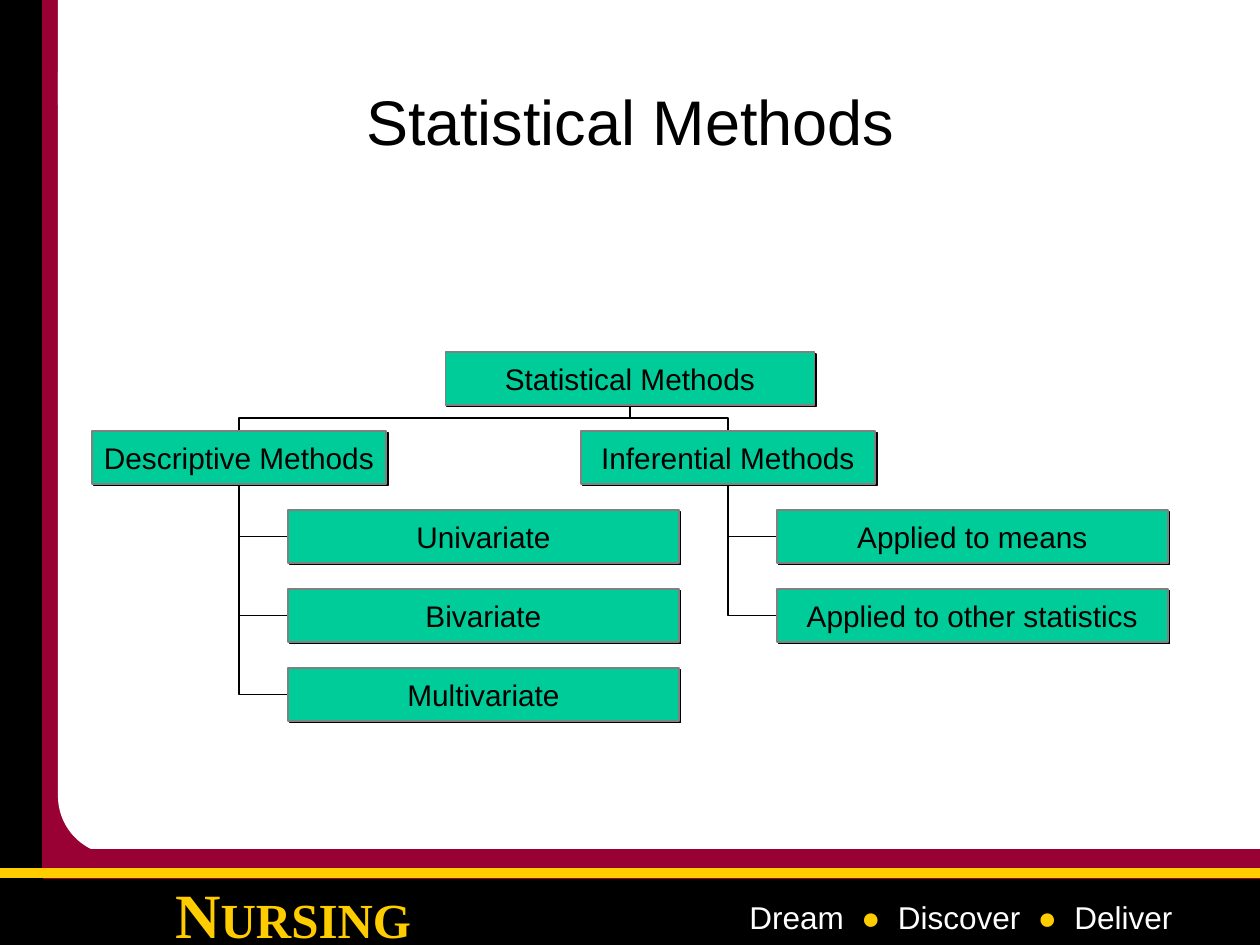
"""Builds the slide with the tree of statistical methods."""
from lxml.etree import SubElement
from pptx import Presentation
from pptx.dml.color import RGBColor
from pptx.enum.shapes import MSO_CONNECTOR, MSO_SHAPE
from pptx.enum.text import MSO_ANCHOR, PP_ALIGN
from pptx.oxml.ns import qn
from pptx.util import Pt

INK = {"black": "000000", "white": "FFFFFF", "wine": "990033",
       "gold": "FFCC00", "green": "00CC99", "gray": "808080"}
TITLE = "Statistical Methods"
TREE = [
    ("Descriptive Methods", ["Univariate", "Bivariate", "Multivariate"]),
    ("Inferential Methods", ["Applied to means", "Applied to other statistics"]),
]
RECT, ROUND = MSO_SHAPE.RECTANGLE, MSO_SHAPE.ROUNDED_RECTANGLE
FRAME = [
    (RECT, (40, 0, 54, 945), "wine"),
    (RECT, (131, 95, 1129, 850), "white"),
    (RECT, (0, 0, 42, 945), "black"),
    (RECT, (0, 877, 1260, 68), "black"),
    (ROUND, (58, 15, 354, 840), "white"),
    (RECT, (58, 0, 81, 105), "white"),
    (RECT, (43, 849, 1217, 30), "wine"),
]
UNIT = "Times New Roman"
BRAND = [("N", 36, "gold", UNIT, True), ("URSING", 28, "gold", UNIT, True)]
MOTTO = [("Dream  ", 18, "white"), ("●  ", 18, "gold"), ("Discover  ", 18, "white"),
         ("●", 18, "gold"), ("  Deliver", 18, "white")]
TOP, STEP, HIGH = 352, 79, 53
LEFT, PITCH, INDENT = 92, 489, 49
ROOT, HEAD, LEAF = 369, 294, 391
PX = 914400 / 126


def emu(*nums):
    return [round(n * PX) for n in nums]


def color(name):
    return RGBColor.from_string(INK[name])


def write(frame, runs, align, form):
    for key, val in form.items():
        setattr(frame, key, val)
    para = frame.paragraphs[0]
    para.alignment = align
    for text, size, ink, *rest in runs:
        face, bold = rest or ("Arial", False)
        run = para.add_run()
        run.text = text
        look = {"size": Pt(size), "name": face, "bold": bold}
        for key, val in look.items():
            setattr(run.font, key, val)
        run.font.color.rgb = color(ink)


def block(shapes, kind, spot, ink):
    shape = shapes.add_shape(kind, *emu(*spot))
    shape.shadow.inherit = False
    shape.fill.solid()
    shape.fill.fore_color.rgb = color(ink)
    shape.line.fill.background()
    return shape


def node(shapes, text, spot):
    shape = block(shapes, RECT, spot, "green")
    shape.line.color.rgb = color("gray")
    shape.line.width = Pt(1)
    glow = shape._element.spPr.find(qn("a:effectLst"))
    cast = SubElement(glow, qn("a:outerShdw"), dist=str(Pt(1.4)), dir="2700000",
                      algn="ctr", rotWithShape="0")
    SubElement(cast, qn("a:srgbClr"), val=INK["black"])
    form = {"word_wrap": False, "vertical_anchor": MSO_ANCHOR.MIDDLE}
    write(shape.text_frame, [(text, 17, "black")], PP_ALIGN.CENTER, form)


def link(shapes, kind, ends, ink="black", width=1):
    line = shapes.add_connector(kind, *emu(*ends))
    line.line.color.rgb = color(ink)
    line.line.width = Pt(width)
    SubElement(line._element.spPr, qn("a:effectLst"))
    return line._element.spPr


def hook(shapes, x, y, stem, foot):
    """Runs left from a leaf, then up to its parent."""
    prop = link(shapes, MSO_CONNECTOR.ELBOW, (x, y, stem, foot))
    prop.find(qn("a:prstGeom")).set("prst", "bentConnector2")


def fork(shapes, x, y, end, foot):
    """Runs up, across and up again, as an elbow turned by a quarter."""
    midx, midy = (x + end) / 2, (y + foot) / 2
    dx, dy = x - midx, y - midy
    ends = midx + dy, midy - dx, midx - dy, midy + dx
    prop = link(shapes, MSO_CONNECTOR.ELBOW, ends)
    prop.find(qn("a:xfrm")).set("rot", "5400000")


def label(shapes, spot, runs, align):
    box = shapes.add_textbox(*emu(*spot))
    write(box.text_frame, runs, align, {"word_wrap": True})


def chart(shapes):
    mid = 630
    rows = [TOP + STEP * i for i in range(5)]
    for i, (head, leaves) in enumerate(TREE):
        x = LEFT + PITCH * i
        stem, foot = x + HEAD // 2, rows[1] + HIGH
        fork(shapes, stem, rows[1], mid, TOP + HIGH)
        for text, y in zip(leaves, rows[2:]):
            hook(shapes, stem + INDENT, y + HIGH / 2, stem, foot)
            node(shapes, text, (stem + INDENT, y, LEAF, HIGH))
        node(shapes, head, (x, rows[1], HEAD, HIGH))
    node(shapes, TITLE, (mid - ROOT / 2, TOP, ROOT, HIGH))


def main():
    deck = Presentation()
    deck.slide_width, deck.slide_height = emu(1260, 945)
    shapes = deck.slides.add_slide(deck.slide_layouts[5]).shapes
    for kind, spot, ink in FRAME:
        block(shapes, kind, spot, ink)
    link(shapes, MSO_CONNECTOR.STRAIGHT, (0, 873, 1260, 873), "gold", 6)
    label(shapes, (146, 869, 294, 79), BRAND, PP_ALIGN.CENTER)
    label(shapes, (737, 892, 503, 50), MOTTO, PP_ALIGN.LEFT)

    title = shapes.title
    shapes._spTree.append(title._element)
    sides = ("left", "top", "width", "height")
    for key, val in zip(sides, emu(95, 42, 1071, 157)):
        setattr(title, key, val)
    form = {"word_wrap": True, "vertical_anchor": MSO_ANCHOR.MIDDLE}
    write(title.text_frame, [(TITLE, 36, "black")], PP_ALIGN.CENTER, form)
    chart(shapes)
    deck.save("out.pptx")


if __name__ == "__main__":
    main()
